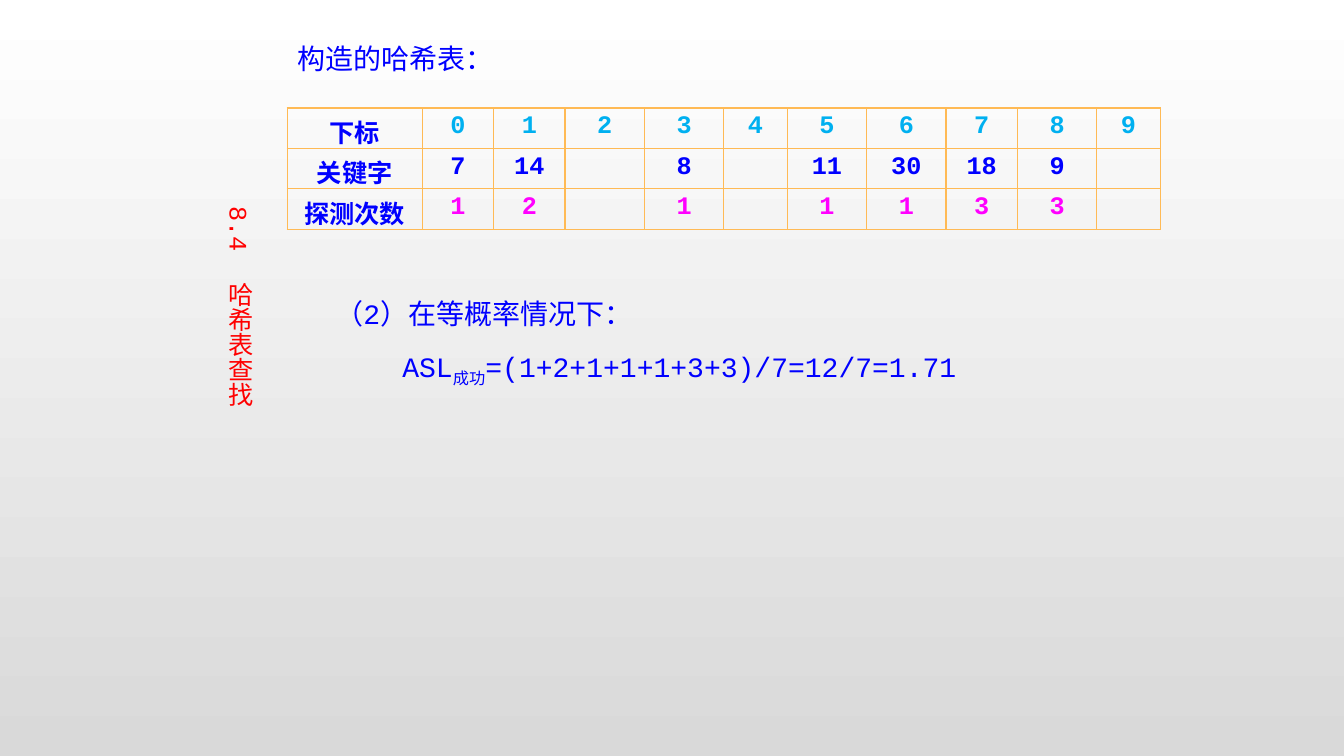
from lxml import etree
from pptx import Presentation
from pptx.dml.color import RGBColor
from pptx.enum.text import MSO_ANCHOR, MSO_AUTO_SIZE, PP_ALIGN
from pptx.oxml.ns import qn
from pptx.util import Cm, Pt

TOP, LEFT, CENTER = MSO_ANCHOR.TOP, PP_ALIGN.LEFT, PP_ALIGN.CENTER
GROW = MSO_AUTO_SIZE.SHAPE_TO_FIT_TEXT
WHITE = RGBColor(0xFF, 0xFF, 0xFF)
GREY = RGBColor(0xD9, 0xD9, 0xD9)
BLUE = RGBColor(0x00, 0x00, 0xFF)
CYAN = RGBColor(0x00, 0xB0, 0xF0)
MAGENTA = RGBColor(0xFF, 0x00, 0xFF)
RED = RGBColor(0xFF, 0x00, 0x00)
ORANGE = RGBColor(0xFF, 0xBA, 0x55)
MONO = "Courier New"

COLUMN_WIDTHS = [3.4, 1.8, 1.8, 2, 2, 1.6, 2, 2, 1.8, 2, 1.6]
ROW_HEIGHT = 1.02
HASH_TABLE = [
    ("下标", CYAN, ["0", "1", "2", "3", "4", "5", "6", "7", "8", "9"]),
    ("关键字", BLUE, ["7", "14", "", "8", "", "11", "30", "18", "9", ""]),
    ("探测次数", MAGENTA, ["1", "2", "", "1", "", "1", "1", "3", "3", ""]),
]


def style(paragraph, size, color, name=MONO, bold=False):
    """Set the font of a whole paragraph."""
    font = paragraph.font
    font.size, font.name, font.bold = Pt(size), name, bold
    font.color.rgb = color


def paint_background(slide):
    """Fill the slide with a gradient from white down to grey."""
    fill = slide.background.fill
    fill.gradient()
    fill.gradient_angle = 270
    for stop, color, position in zip(fill.gradient_stops, (WHITE, GREY), (0, 1)):
        stop.color.rgb = color
        stop.position = position


def place_title(slide, left, top, width, height):
    """Put the heading into the title placeholder."""
    title = slide.shapes.title
    title.left, title.top = Cm(left), Cm(top)
    title.width, title.height = Cm(width), Cm(height)
    frame = title.text_frame
    frame.text = "构造的哈希表："
    frame.word_wrap, frame.auto_size, frame.vertical_anchor = True, GROW, TOP
    heading = frame.paragraphs[0]
    heading.alignment = LEFT
    style(heading, 20, BLUE, "Arial")


def fill_cell(cell, text, color):
    """Write one centred cell with an orange border on every side."""
    cell.text = text
    cell.vertical_anchor = TOP
    paragraph = cell.text_frame.paragraphs[0]
    paragraph.alignment = CENTER
    style(paragraph, 18, color, bold=True)
    properties = cell._tc.get_or_add_tcPr()
    for side in ("a:lnL", "a:lnR", "a:lnT", "a:lnB"):
        border = etree.SubElement(properties, qn(side), w=str(Pt(1)))
        solid = etree.SubElement(border, qn("a:solidFill"))
        etree.SubElement(solid, qn("a:srgbClr"), val=str(ORANGE))
    cell.fill.background()


def add_hash_table(slide, left, top):
    """Draw the hash table with indexes, keys and probe counts."""
    table = slide.shapes.add_table(
        len(HASH_TABLE), len(COLUMN_WIDTHS), Cm(left), Cm(top),
        Cm(sum(COLUMN_WIDTHS)), Cm(ROW_HEIGHT * len(HASH_TABLE))).table
    table.first_row = table.horz_banding = False
    for column, width in zip(table.columns, COLUMN_WIDTHS):
        column.width = Cm(width)
    for row, (label, color, values) in zip(table.rows, HASH_TABLE):
        row.height = Cm(ROW_HEIGHT)
        fill_cell(row.cells[0], label, BLUE)
        for index, value in enumerate(values, 1):
            fill_cell(row.cells[index], value, color)


def add_search_length(slide, left, top, width, height):
    """Write the average search length under equal probability."""
    frame = slide.shapes.add_textbox(Cm(left), Cm(top), Cm(width), Cm(height)).text_frame
    frame.word_wrap, frame.auto_size = True, GROW
    condition, formula = frame.paragraphs[0], frame.add_paragraph()
    condition.text = "（2）在等概率情况下："
    formula._p.get_or_add_pPr().set("marL", str(Cm(1.69)))
    for part in ("ASL", "成功", "=(1+2+1+1+1+3+3)/7=12/7=1.71"):
        formula.add_run().text = part
    formula.runs[1].font._element.set("baseline", "-25000")
    for paragraph in (condition, formula):
        paragraph.line_spacing = 1.5
        style(paragraph, 20, BLUE)


def add_section_label(slide, left, top, width, height):
    """Write the section name vertically beside the content."""
    frame = slide.shapes.add_textbox(Cm(left), Cm(top), Cm(width), Cm(height)).text_frame
    frame.word_wrap, frame.auto_size = True, GROW
    frame._txBody.bodyPr.set("vert", "eaVert")
    section = frame.paragraphs[0]
    section.alignment = CENTER
    for part in ("8.4", " ", "哈希表查找"):
        section.add_run().text = part
    section.runs[1].font._element.set("spc", "1080")
    style(section, 18, RED)


def main():
    """Build the hash table slide."""
    deck = Presentation()
    deck.slide_width, deck.slide_height = Cm(33.87), Cm(19.05)
    slide = deck.slides.add_slide(deck.slide_layouts[5])
    paint_background(slide)
    place_title(slide, 7.24, 0.91, 10.11, 1.12)
    add_hash_table(slide, 7.24, 2.72)
    add_search_length(slide, 8.2, 6.93, 16.84, 2.82)
    add_section_label(slide, 5.28, 4.95, 1.27, 7.75)
    deck.save("out.pptx")


if __name__ == "__main__":
    main()
